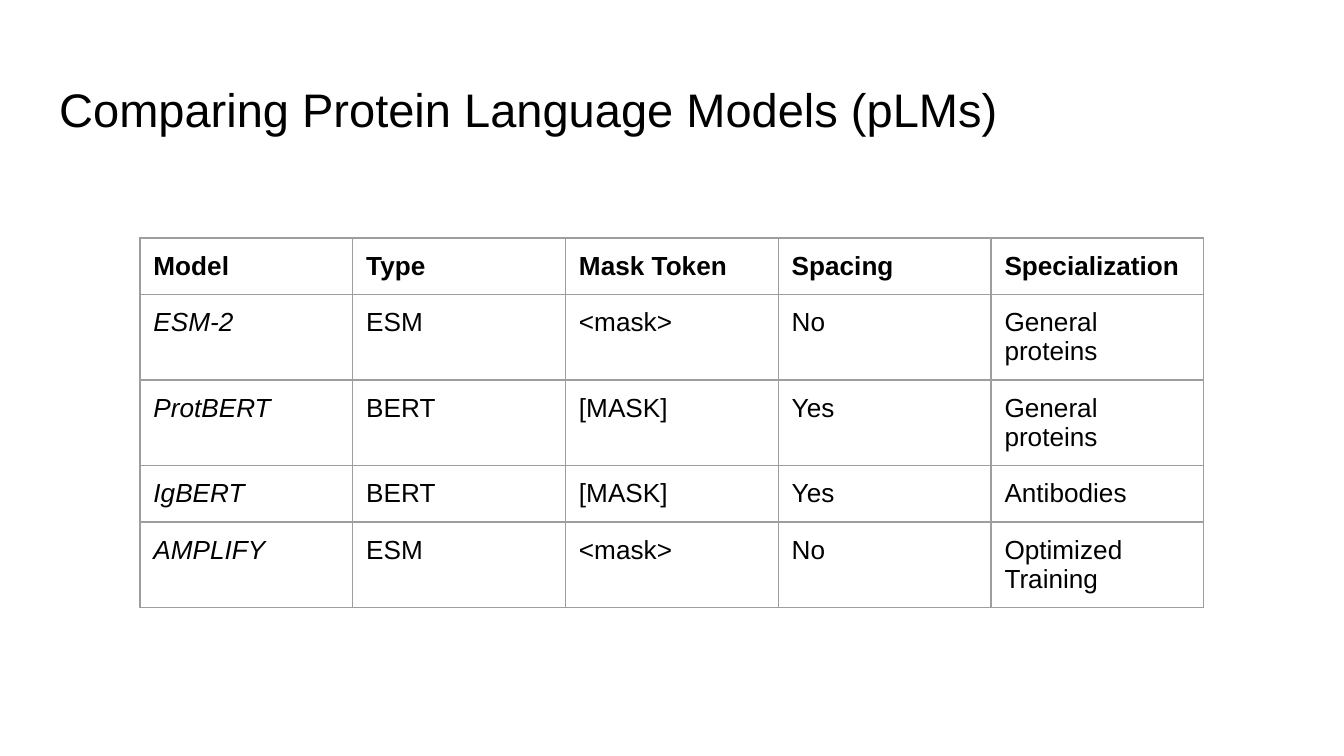
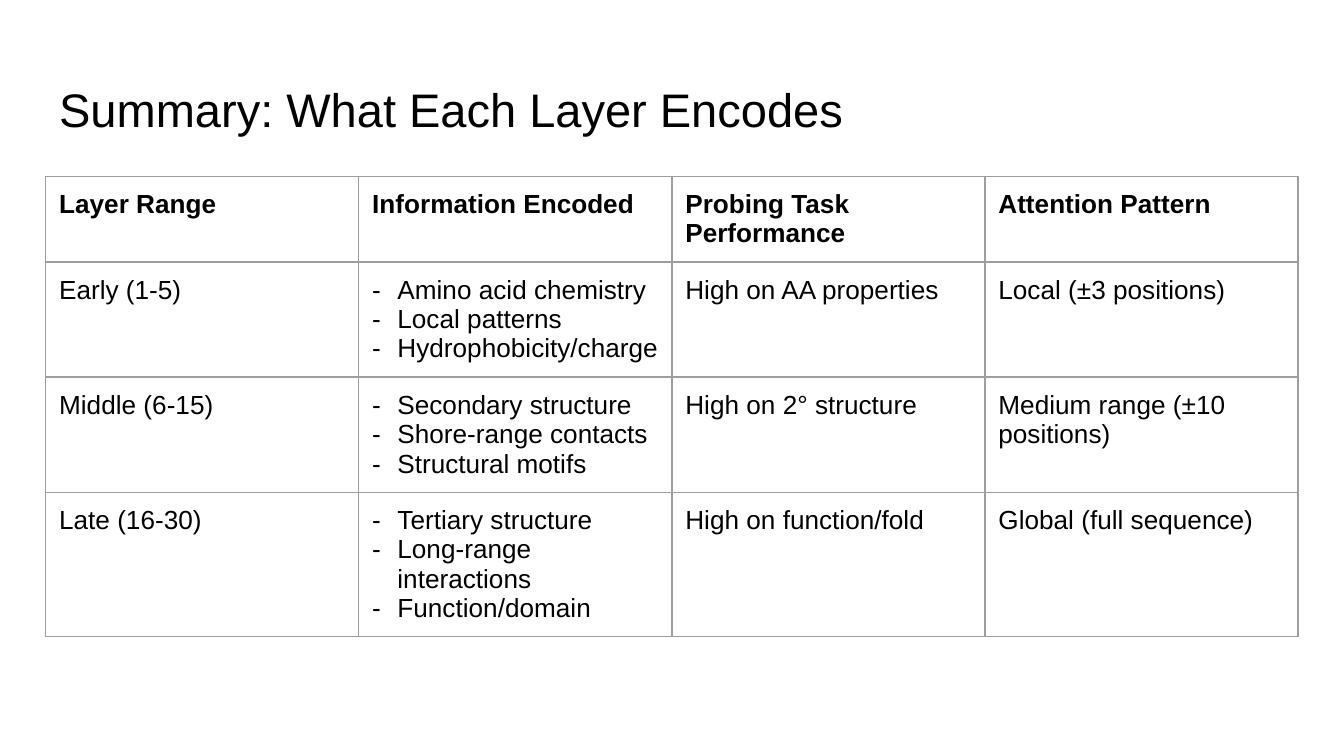
from dataclasses import dataclass

from lxml import etree
from pptx import Presentation
from pptx.dml.color import RGBColor
from pptx.enum import text
from pptx.oxml import ns
from pptx.util import Pt

SLIDES = [
    {
        "title": "Comparing Protein Language Models (pLMs)",
        "left": 75, "top": 127.5, "column_width": 114,
        "italic_first_column": True,
        "rows": [
            ["Model", "Type", "Mask Token", "Spacing", "Specialization"],
            ["ESM-2", "ESM", "<mask>", "No", "General proteins"],
            ["ProtBERT", "BERT", "[MASK]", "Yes", "General proteins"],
            ["IgBERT", "BERT", "[MASK]", "Yes", "Antibodies"],
            ["AMPLIFY", "ESM", "<mask>", "No", "Optimized Training"],
        ],
    },
    {
        "title": "Summary: What Each Layer Encodes",
        "left": 24.5, "top": 94.5, "column_width": 167.75,
        "italic_first_column": False,
        # A list inside a row is a bulleted cell.
        "rows": [
            ["Layer Range", "Information Encoded", "Probing Task Performance",
             "Attention Pattern"],
            ["Early (1-5)",
             ["Amino acid chemistry", "Local patterns", "Hydrophobicity/charge"],
             "High on AA properties", "Local (±3 positions)"],
            ["Middle (6-15)",
             ["Secondary structure", "Shore-range contacts", "Structural motifs"],
             "High on 2° structure", "Medium range (±10 positions)"],
            ["Late (16-30)",
             ["Tertiary structure", "Long-range interactions", "Function/domain"],
             "High on function/fold", "Global (full sequence)"],
        ],
    },
]


@dataclass(frozen=True)
class Theme:
    font: str = "Arial"
    ink: str = "000000"
    background: str = "FFFFFF"
    border: str = "9E9E9E"
    border_width: float = 0.75
    title_size: float = 25.2
    cell_size: float = 14
    inset: float = 7.2
    row_height: float = 30
    bullet_margin: float = 13.5
    bullet_indent: float = -15.5


THEME = Theme()
TITLE_BOX = (24.5, 35, 671, 45.5)


def add_run(paragraph, words, size, bold=False, italic=False):
    run = paragraph.add_run()
    run.text = words
    font = run.font
    font.name, font.size = THEME.font, Pt(size)
    font.bold, font.italic = bold, italic
    font.color.rgb = RGBColor.from_string(THEME.ink)


def set_insets(holder):
    """Give a text frame or a table cell the same margin on every side."""
    for side in ("left", "right", "top", "bottom"):
        setattr(holder, f"margin_{side}", Pt(THEME.inset))


def add_child(parent, tag, **attributes):
    child = etree.SubElement(parent, ns.qn(tag))
    for name, value in attributes.items():
        child.set(name, str(value))
    return child


def add_bullet(paragraph):
    properties = paragraph._p.get_or_add_pPr()
    properties.set("marL", str(Pt(THEME.bullet_margin)))
    properties.set("indent", str(Pt(THEME.bullet_indent)))
    add_child(add_child(properties, "a:buClr"), "a:srgbClr", val=THEME.ink)
    add_child(properties, "a:buFont", typeface=THEME.font)
    add_child(properties, "a:buChar", char="-")


def add_borders(cell):
    properties = cell._tc.get_or_add_tcPr()
    for side in "LRTB":
        line = add_child(properties, f"a:ln{side}", w=Pt(THEME.border_width))
        add_child(add_child(line, "a:solidFill"), "a:srgbClr", val=THEME.border)
        add_child(line, "a:prstDash", val="solid")


def fill_cell(cell, content, bold, italic):
    set_insets(cell)
    add_borders(cell)
    cell.fill.background()
    cell.vertical_anchor = text.MSO_ANCHOR.TOP
    bulleted = isinstance(content, list)
    frame = cell.text_frame
    for index, words in enumerate(content if bulleted else [content]):
        paragraph = frame.add_paragraph() if index else frame.paragraphs[0]
        if bulleted:
            add_bullet(paragraph)
        add_run(paragraph, words, THEME.cell_size, bold, italic)


def add_title(slide, words):
    title = slide.shapes.title
    title.left, title.top, title.width, title.height = map(Pt, TITLE_BOX)
    frame = title.text_frame
    set_insets(frame)
    frame.word_wrap = True
    frame.auto_size = text.MSO_AUTO_SIZE.NONE
    frame.vertical_anchor = text.MSO_ANCHOR.BOTTOM
    paragraph = frame.paragraphs[0]
    paragraph.alignment = text.PP_ALIGN.LEFT
    add_run(paragraph, words, THEME.title_size)


def add_grid(slide, content):
    rows, width = content["rows"], content["column_width"]
    row_count, column_count = len(rows), len(rows[0])
    table = slide.shapes.add_table(
        row_count, column_count, Pt(content["left"]), Pt(content["top"]),
        Pt(width * column_count), Pt(THEME.row_height * row_count)).table
    table.horz_banding = False
    for column in table.columns:
        column.width = Pt(width)
    for row_index, row in enumerate(rows):
        table.rows[row_index].height = Pt(THEME.row_height)
        header = row_index == 0
        for column_index, cell_content in enumerate(row):
            italic = content["italic_first_column"] and column_index == 0 and not header
            fill_cell(table.cell(row_index, column_index), cell_content, header, italic)


def main():
    presentation = Presentation()
    presentation.slide_width, presentation.slide_height = Pt(720), Pt(405)
    background = presentation.slide_master.background.fill
    background.solid()
    background.fore_color.rgb = RGBColor.from_string(THEME.background)
    title_only = presentation.slide_layouts.get_by_name("Title Only")
    for content in SLIDES:
        slide = presentation.slides.add_slide(title_only)
        add_title(slide, content["title"])
        add_grid(slide, content)
    presentation.save("out.pptx")


if __name__ == "__main__":
    main()
